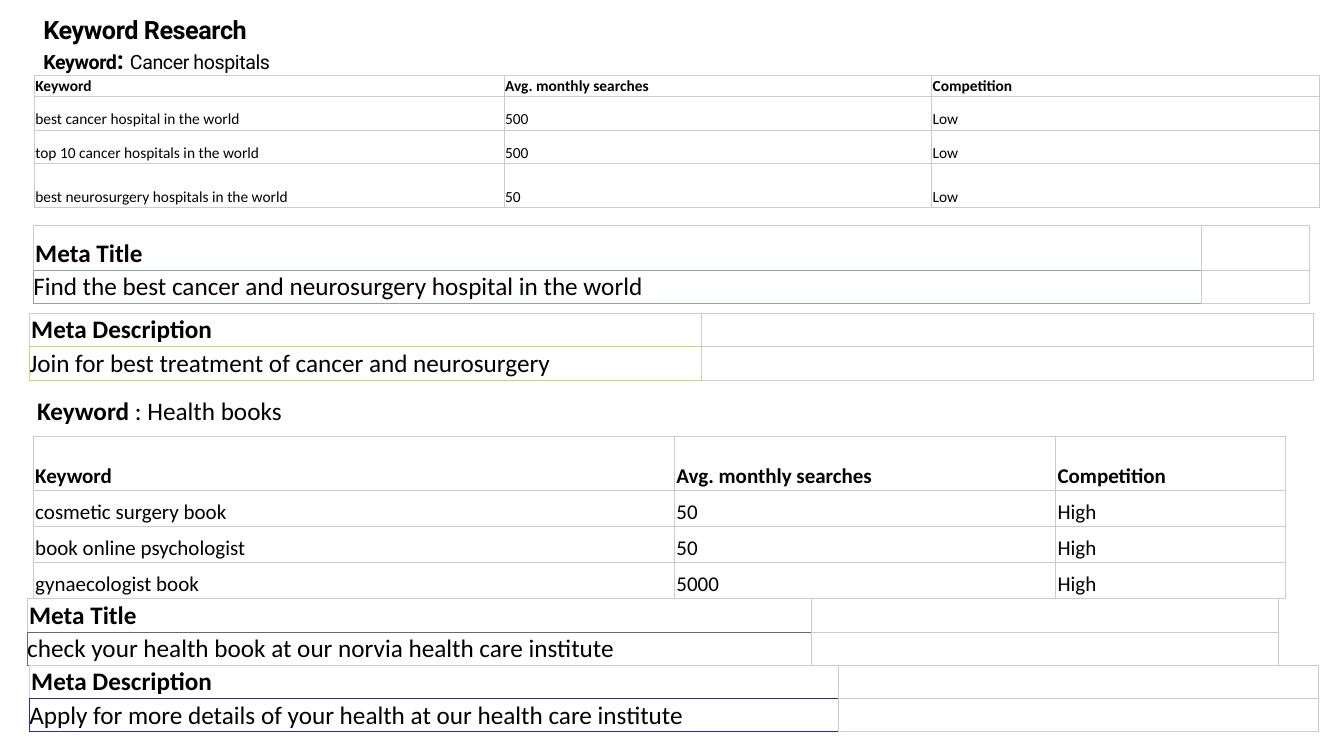
from lxml.etree import SubElement
from pptx import Presentation
from pptx.dml.color import RGBColor as RGB
from pptx.enum.text import MSO_ANCHOR as Anchor, MSO_AUTO_SIZE as Fit, PP_ALIGN as Align
from pptx.oxml.ns import qn
from pptx.util import Inches, Pt

THEME = {
    "head": "Roboto", "body": "Calibri", "ink": "000000", "grid": "CCCCCC", "white": "FFFFFF",
    "big": 18, "sub": 14, "mid": 15, "small": 11, "line": 0.5, "track": -0.3,
}

# Each line is a list of runs: text, size, bold
TITLE = [
    [("Keyword Research", THEME["big"], True)],
    [("Keyword", THEME["sub"], True), (": ", THEME["big"], True),
     ("Cancer hospitals", THEME["sub"], False)],
]
BOOKS = [[("Keyword", THEME["big"], True), (" : Health books", THEME["big"], False)]]

HEADS = ("Keyword", "Avg. monthly searches", "Competition")
KEYWORDS = [
    dict(at=(0.34, 0.75), cols=(4.66, 4.24, 3.85), rows=(0.21, 0.33, 0.33, 0.44),
         size=THEME["small"], inset=0.01, data=[
             HEADS,
             ("best cancer hospital in the world", "500", "Low"),
             ("top 10 cancer hospitals in the world", "500", "Low"),
             ("best neurosurgery hospitals in the world", "50", "Low")]),
    dict(at=(0.33, 4.33), cols=(6.36, 3.78, 2.28), rows=(0.53, 0.36, 0.36, 0.36),
         size=THEME["mid"], inset=0.02, data=[
             HEADS,
             ("cosmetic surgery book", "50", "High"),
             ("book online psychologist", "50", "High"),
             ("gynaecologist book", "5000", "High")]),
]

# Place, column widths, first row height, accent, fill of the heading, heading, text
METAS = [
    ((0.33, 2.24), (11.59, 1.07), 0.44, "90A1AF", None, "Meta Title",
     "Find the best cancer and neurosurgery hospital in the world"),
    ((0.29, 3.11), (6.67, 6.07), 0.33, "D0D46F", None, "Meta Description",
     "Join for best treatment of cancer and neurosurgery"),
    ((0.27, 5.94), (7.78, 4.63), 0.33, "507B4D", THEME["white"], "Meta Title",
     "check your health book at our norvia health care institute"),
    ((0.29, 6.6), (8.02, 4.77), 0.33, "401EAB", THEME["white"], "Meta Description",
     "Apply for more details of your health at our health care institute"),
]
META_ROW = 0.33


def set_font(font, face, size=None, bold=None):
    font.name = face
    font.color.rgb = RGB.from_string(THEME["ink"])
    if size:
        font.size = Pt(size)
    font.bold = bold


def set_edges(cell, **accents):
    """Draw the four cell borders; accents gives a colour by side letter."""
    props = cell._tc.get_or_add_tcPr()
    for side in "LRTB":
        line = SubElement(props, qn("a:ln" + side), w=str(Pt(THEME["line"])))
        fill = SubElement(line, qn("a:solidFill"))
        SubElement(fill, qn("a:srgbClr"), val=accents.get(side, THEME["grid"]))


def fill_cell(cell, text, size, bold, inset, fill=None, **accents):
    set_edges(cell, **accents)
    if fill:
        cell.fill.solid()
        cell.fill.fore_color.rgb = RGB.from_string(fill)
    else:
        cell.fill.background()
    cell.vertical_anchor = Anchor.BOTTOM
    cell.margin_left = cell.margin_right = Inches(inset)
    cell.margin_top = cell.margin_bottom = Inches(0.01)
    cell.text = text
    set_font(cell.text_frame.paragraphs[0].font, THEME["body"], size, bold)


def add_grid(slide, at, cols, rows):
    x, y = at
    grid = slide.shapes.add_table(len(rows), len(cols), Inches(x), Inches(y),
                                  Inches(sum(cols)), Inches(sum(rows))).table
    grid.first_row = grid.horz_banding = False
    for col, width in zip(grid.columns, cols):
        col.width = Inches(width)
    for row, height in zip(grid.rows, rows):
        row.height = Inches(height)
    return grid


def add_keys(slide, at, cols, rows, size, inset, data):
    grid = add_grid(slide, at, cols, rows)
    for r, line in enumerate(data):
        for c, text in enumerate(line):
            fill_cell(grid.cell(r, c), text, size, r == 0, inset)


def add_meta(slide, at, cols, top, accent, fill, head, text):
    grid = add_grid(slide, at, cols, (top, META_ROW))
    size = THEME["big"]
    fill_cell(grid.cell(0, 0), head, size, True, 0.02, fill, B=accent)
    fill_cell(grid.cell(1, 0), text, size, False, 0, L=accent, T=accent, B=accent)
    for r in range(2):
        fill_cell(grid.cell(r, 1), "", size, False, 0.02)


def write(shape, box, lines, face, track=0):
    shape.left, shape.top, shape.width, shape.height = map(Inches, box)
    frame = shape.text_frame
    frame.word_wrap = True
    frame.auto_size = Fit.NONE
    frame.vertical_anchor = Anchor.TOP
    for i, runs in enumerate(lines):
        para = frame.add_paragraph() if i else frame.paragraphs[0]
        para.alignment = Align.LEFT
        set_font(para.font, face)
        for text, size, bold in runs:
            run = para.add_run()
            run.text = text
            set_font(run.font, face, size, bold)
            if track:
                run._r.get_or_add_rPr().set("spc", str(round(track * 100)))


def main():
    deck = Presentation()
    deck.slide_width, deck.slide_height = Inches(13.33), Inches(7.5)
    slide = deck.slides.add_slide(deck.slide_layouts[5])
    write(slide.shapes.title, (0.33, 0.09, 6.67, 0.71), TITLE, THEME["head"], THEME["track"])
    for spec in KEYWORDS:
        add_keys(slide, **spec)
    for meta in METAS:
        add_meta(slide, *meta)
    note = slide.shapes.add_textbox(0, 0, 0, 0)
    write(note, (0.27, 3.87, 6.67, 0.4), BOOKS, THEME["body"])
    deck.save("out.pptx")


if __name__ == "__main__":
    main()
